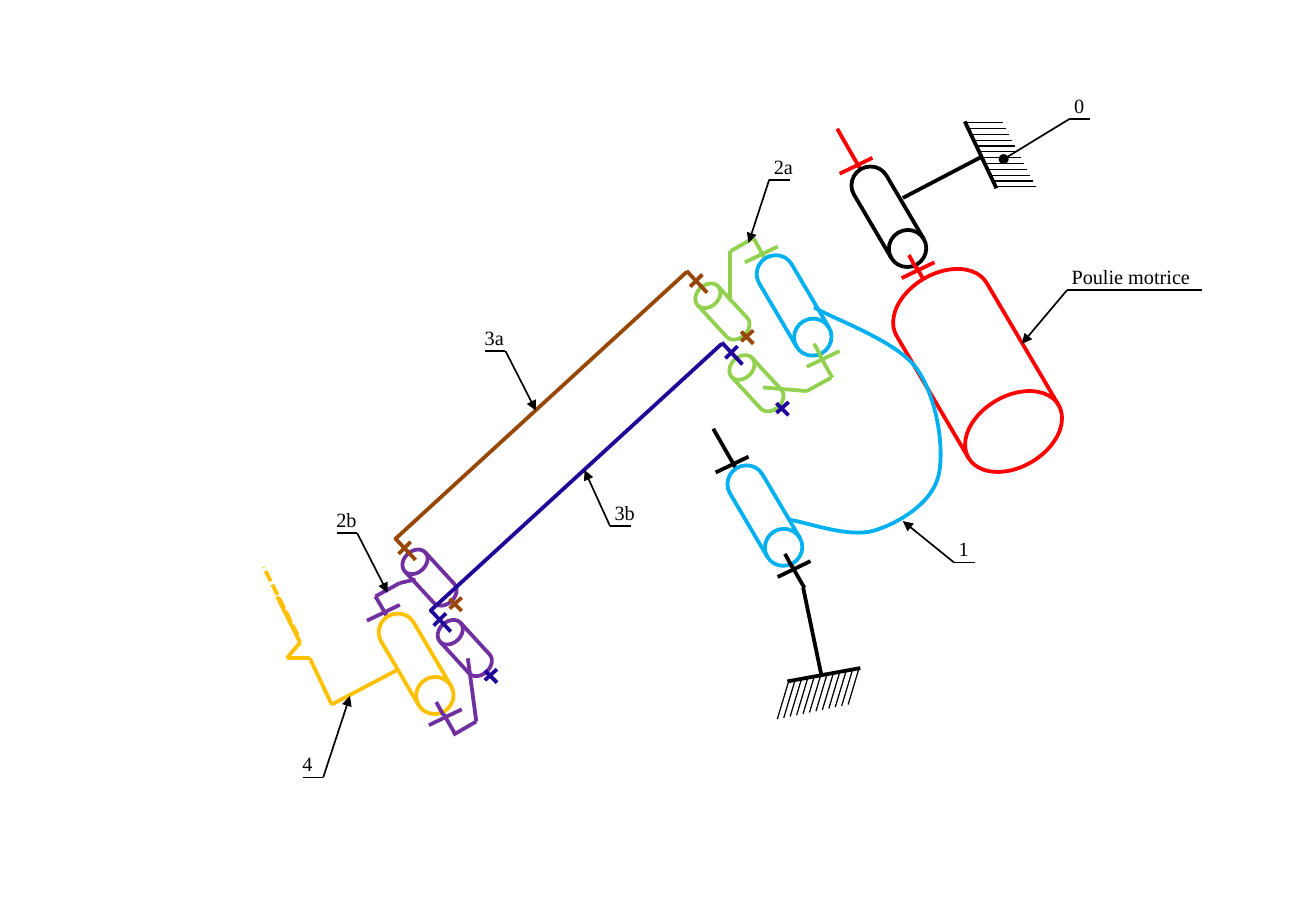
from lxml import etree
from pptx import Presentation
from pptx.dml.color import RGBColor
from pptx.enum.dml import MSO_LINE
from pptx.enum.shapes import MSO_CONNECTOR, MSO_SHAPE
from pptx.enum.text import PP_ALIGN
from pptx.oxml.ns import qn
from pptx.util import Cm, Pt

STRAIGHT = MSO_CONNECTOR.STRAIGHT
DRUM = MSO_SHAPE.FLOWCHART_DIRECT_ACCESS_STORAGE
DASH = MSO_LINE.SQUARE_DOT
JUSTIFY = PP_ALIGN.JUSTIFY

BLACK = RGBColor(0x00, 0x00, 0x00)
WHITE = RGBColor(0xFF, 0xFF, 0xFF)
RED = RGBColor(0xFF, 0x00, 0x00)
BLUE = RGBColor(0x00, 0xB0, 0xF0)
GREEN = RGBColor(0x92, 0xD0, 0x50)
PURPLE = RGBColor(0x70, 0x30, 0xA0)
GOLD = RGBColor(0xFF, 0xC0, 0x00)
BROWN = RGBColor(0x97, 0x47, 0x06)
NAVY = RGBColor(0x21, 0x04, 0x9A)

THICK, LEADER, THIN = 2.25, 1, 0.75
FONT = "Times New Roman"


def inches(value):
    """The drawing is laid out in inches."""
    return Cm(value * 2.54)


def add_line(page, start, end, color, width=THICK, dash=None, tip=None):
    line = page.shapes.add_connector(
        STRAIGHT, *(inches(value) for value in (*start, *end)))
    line.line.color.rgb = color
    line.line.width = Pt(width)
    if dash:
        line.line.dash_style = dash
    properties = line._element.spPr
    if tip:
        etree.SubElement(properties.find(qn("a:ln")), qn("a:tailEnd"), type=tip)
    etree.SubElement(properties, qn("a:effectLst"))


def add_chain(page, points, color):
    for start, end in zip(points, points[1:]):
        add_line(page, start, end, color)


def add_offset_line(page, origin, start, end, color):
    x, y = origin
    add_line(page, (x + start[0], y + start[1]), (x + end[0], y + end[1]), color)


def add_drum(page, corner, size, angle, color):
    drum = page.shapes.add_shape(
        DRUM, *(inches(value) for value in (*corner, *size)))
    drum.rotation = angle
    drum.shadow.inherit = False
    drum.fill.solid()
    drum.fill.fore_color.rgb = WHITE
    drum.line.color.rgb = color
    drum.line.width = Pt(THICK)


def add_large_pivot(page, corner, body_color, axis_color, axis_start, axis_end):
    """Cylinder on an axis, with a stop at each end."""
    add_line(page, axis_start, axis_end, axis_color)
    add_drum(page, corner, (0.91, 0.31), 59.5, body_color)
    for start, end in (((0.05, -0.2), (0.32, -0.33)),
                       ((0.56, 0.66), (0.83, 0.53)),
                       ((0.62, 0.47), (0.68, 0.58))):
        add_offset_line(page, corner, start, end, axis_color)


def add_small_pivot(page, corner, color):
    add_drum(page, corner, (0.53, 0.23), 227.4, color)


def add_hatching(page, start, step, stroke):
    for index in range(12):
        x, y = start[0] + index * step[0], start[1] + index * step[1]
        add_line(page, (x, y), (x + stroke[0], y + stroke[1]), BLACK, THIN)


def add_rod(page, foot, color):
    """Long rod with a crossed pin in the pivots at both ends."""
    head = (foot[0] + 2.4, foot[1] - 2.2)
    add_line(page, head, foot, color)
    for end in (foot, head):
        for start, stop in (((0.55, 0.59), (0.45, 0.49)),
                            ((0.17, 0.17), (0, -0.01)),
                            ((0.13, 0.02), (0.03, 0.12)),
                            ((0.55, 0.48), (0.45, 0.57))):
            add_offset_line(page, end, start, stop, color)


def add_curve(page, points, color):
    """Curve of cubic arcs: a start, then three points for each arc."""
    places = [(inches(x), inches(y)) for x, y in points]
    builder = page.shapes.build_freeform(*places[0])
    builder.add_line_segments(places[1:], close=False)
    curve = builder.convert_to_shape()
    curve.shadow.inherit = False
    curve.fill.background()
    curve.line.color.rgb = color
    curve.line.width = Pt(THICK)
    outline = next(curve._element.iter(qn("a:path")))
    segments = outline.findall(qn("a:lnTo"))
    for index in range(0, len(segments), 3):
        arc = etree.SubElement(outline, qn("a:cubicBezTo"))
        for segment in segments[index:index + 3]:
            arc.append(segment[0])
            outline.remove(segment)


def add_text(page, text, corner, width, size=12, color=BLACK):
    box = page.shapes.add_textbox(
        *(inches(value) for value in (*corner, width, 0.36)))
    box.text_frame.word_wrap = True
    para = box.text_frame.paragraphs[0]
    para.alignment = JUSTIFY
    span = para.add_run()
    span.text = text
    span.font.name = FONT
    span.font.size = Pt(size)
    span.font.color.rgb = color


def add_label(page, text, left, y, target, bar=0.17, width=0.38,
              from_right=False, tip="triangle"):
    """Underlined label with a leader from one end of its underline."""
    right = left + bar
    add_line(page, (right if from_right else left, y), target,
             BLACK, LEADER, tip=tip)
    add_line(page, (left, y), (right, y), BLACK, LEADER)
    add_text(page, text, (left - (0.1 if from_right else 0.06), y - 0.26), width)


def main():
    deck = Presentation()
    deck.slide_width, deck.slide_height = inches(10.83), inches(7.5)
    page = deck.slides.add_slide(deck.slide_layouts[6])

    # Drive pulley in its fixed bearing
    add_large_pivot(page, (6.86, 1.63), BLACK, RED, (6.89, 1.06), (8.08, 3.14))
    add_line(page, (7.43, 1.63), (8.08, 1.29), BLACK)
    add_line(page, (7.94, 1), (8.2, 1.55), BLACK)
    add_hatching(page, (7.94, 1.01), (0.025, 0.048), (0.31, 0))
    add_drum(page, (7.17, 2.62), (1.75, 0.86), 59.5, RED)

    # Arm 1, its lower pivot and its ground
    add_large_pivot(page, (5.84, 4.09), BLUE, BLACK, (5.87, 3.53), (6.62, 4.84))
    add_large_pivot(page, (6.08, 2.36), BLUE, GREEN, (6.2, 1.96), (6.85, 3.11))
    add_line(page, (6.61, 4.84), (6.76, 5.56), BLACK)
    add_line(page, (7.08, 5.5), (6.48, 5.61), BLACK)
    add_hatching(page, (7.07, 5.5), (-0.053, 0.011), (-0.09, 0.3))

    # Upper yoke 2a
    add_small_pivot(page, (5.68, 2.45), GREEN)
    add_small_pivot(page, (5.96, 3.04), GREEN)
    add_chain(page, [(6.2, 1.96), (6.01, 2.07), (6.01, 2.48)], GREEN)
    add_chain(page, [(6.84, 3.11), (6.64, 3.22), (6.28, 3.19)], GREEN)
    add_curve(page, [(6.7, 2.53),
                     (6.84, 2.62), (7.37, 2.8), (7.54, 3.03),
                     (7.71, 3.26), (7.78, 3.71), (7.72, 3.93),
                     (7.66, 4.15), (7.39, 4.31), (7.19, 4.37),
                     (6.98, 4.43), (6.64, 4.3), (6.5, 4.28)], BLUE)

    # Lower yoke 2b
    add_large_pivot(page, (2.97, 5.31), GOLD, PURPLE, (3.09, 4.91), (3.75, 6.05))
    add_small_pivot(page, (3.27, 4.64), PURPLE)
    add_small_pivot(page, (3.56, 5.22), PURPLE)
    add_chain(page, [(3.42, 4.77), (3.29, 4.8), (3.09, 4.91)], PURPLE)
    add_chain(page, [(3.85, 5.42), (3.92, 5.94), (3.73, 6.05)], PURPLE)

    # Output arm 4
    add_chain(page, [(3.28, 5.51), (2.73, 5.8), (2.55, 5.42), (2.36, 5.42),
                     (2.47, 5.29), (2.28, 4.91)], GOLD)
    add_line(page, (2.45, 5.23), (2.17, 4.67), GOLD, dash=DASH)

    # Parallel rods 3a and 3b
    add_rod(page, (3.25, 4.44), BROWN)
    add_rod(page, (3.54, 5.03), NAVY)

    # Labels
    add_label(page, "0", 8.8, 0.98, (8.26, 1.31), width=0.22, tip="oval")
    add_label(page, "Poulie motrice", 8.78, 2.39, (8.41, 2.83),
              bar=1.11, width=1.2)
    add_label(page, "1", 7.85, 4.63, (7.43, 4.29), width=0.22)
    add_label(page, "2a", 6.33, 1.48, (6.16, 2))
    add_label(page, "3b", 5.02, 4.33, (4.81, 3.87))
    add_label(page, "4", 2.49, 6.4, (2.88, 5.73), from_right=True)
    add_label(page, "3a", 3.99, 2.89, (4.41, 3.38), from_right=True)
    add_label(page, "2b", 2.77, 4.39, (3.19, 4.88), from_right=True)

    deck.save("out.pptx")


if __name__ == "__main__":
    main()
